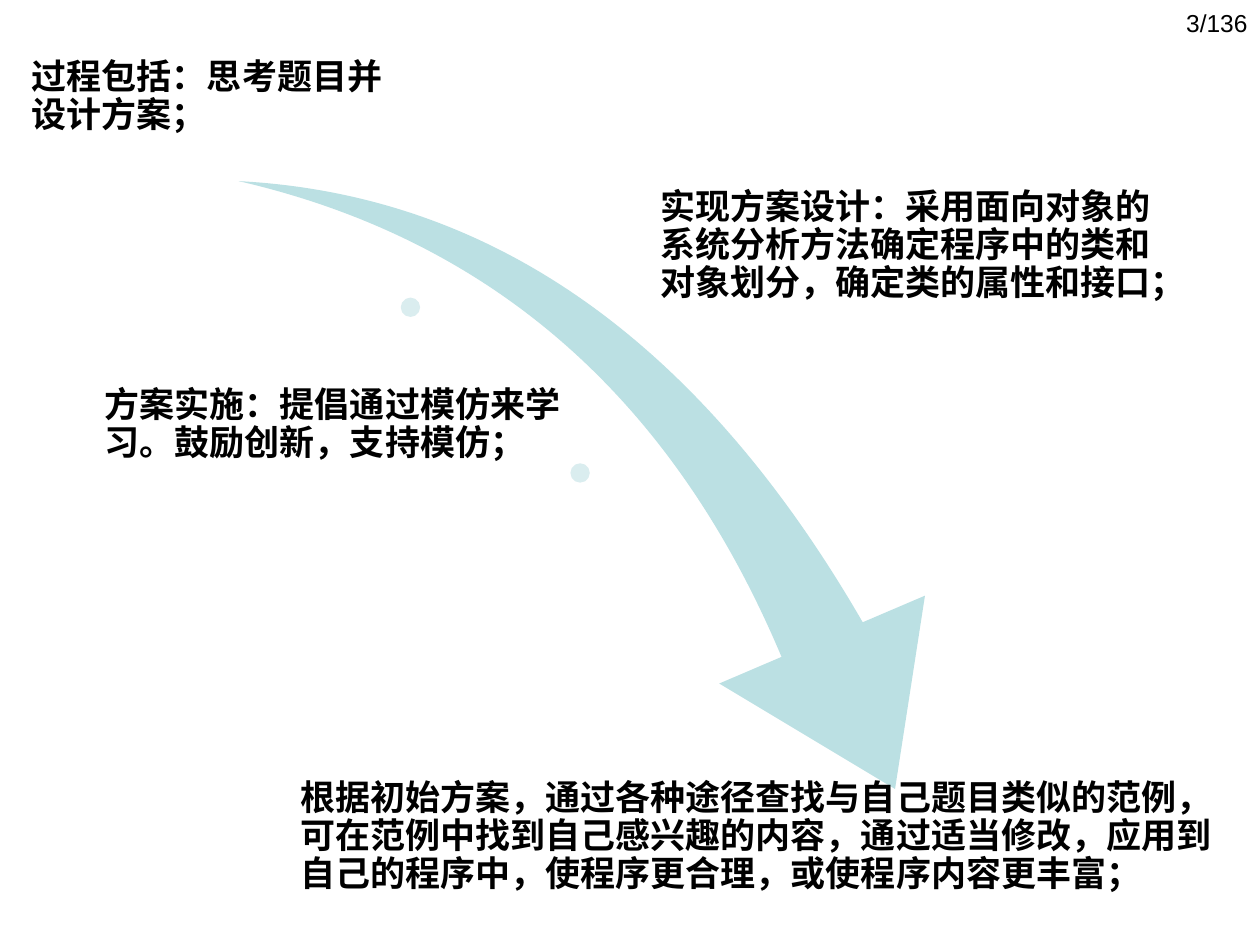
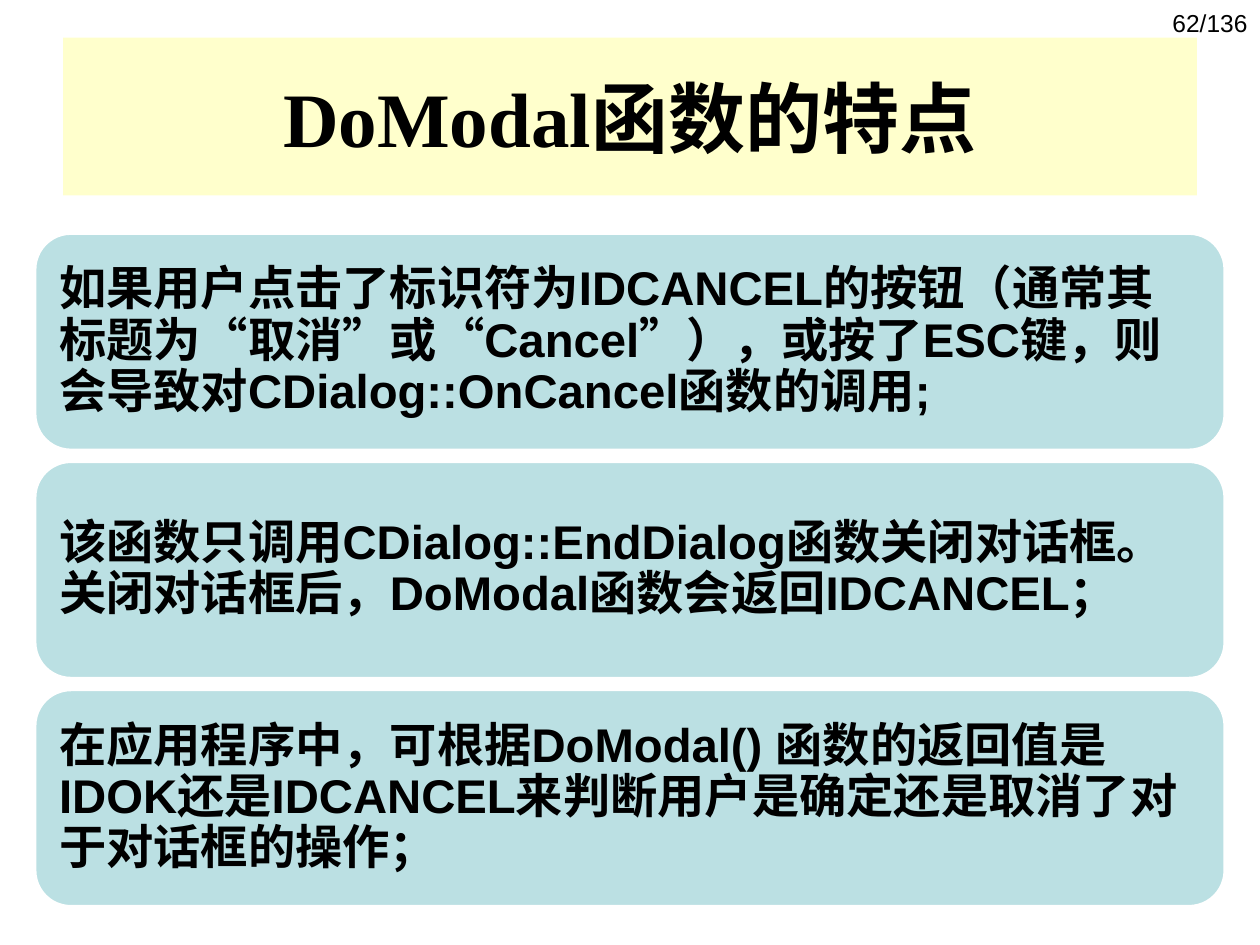
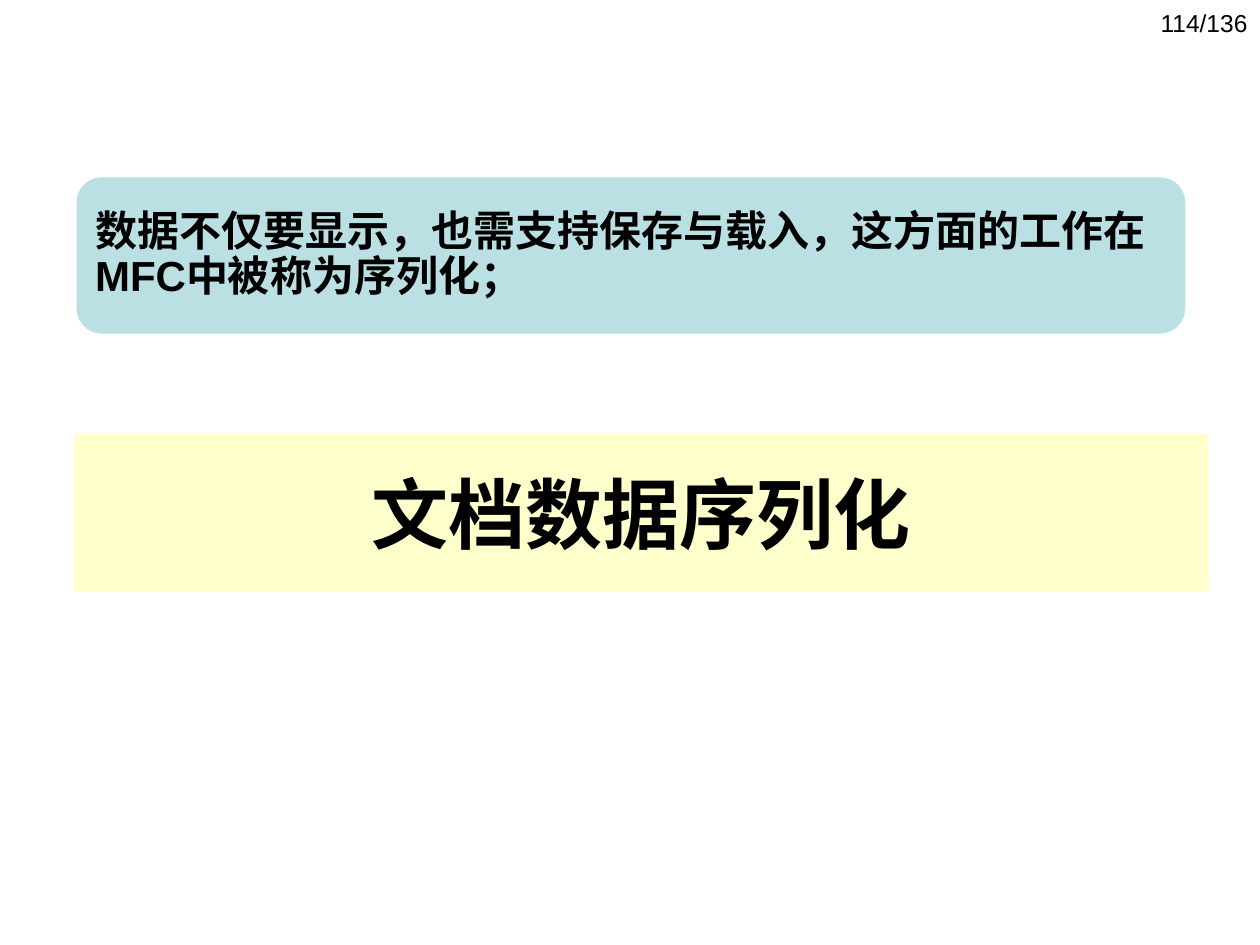
from pptx import Presentation
from pptx.dml.color import RGBColor
from pptx.enum.shapes import MSO_SHAPE
from pptx.enum.text import MSO_ANCHOR, PP_ALIGN
from pptx.util import Cm, Pt

ARROW, DOT, CARD = MSO_SHAPE.SWOOSH_ARROW, MSO_SHAPE.OVAL, MSO_SHAPE.ROUNDED_RECTANGLE
TOP, MIDDLE, BOTTOM = MSO_ANCHOR.TOP, MSO_ANCHOR.MIDDLE, MSO_ANCHOR.BOTTOM
LEFT, CENTER, RIGHT = PP_ALIGN.LEFT, PP_ALIGN.CENTER, PP_ALIGN.RIGHT

COLORS = {"text": "000000", "band": "FFFFCC", "card": "BBE0E3",
          "dot": "DAEDEF", "edge": "FFFFFF"}
SANS, SERIF = "Arial", "Times New Roman"
TITLE_ONLY, BLANK = 5, 6
PAGE_COUNT = 136


def color(key):
    return RGBColor.from_string(COLORS[key])


def box(left, top, width, height):
    return Cm(left), Cm(top), Cm(width), Cm(height)


def write(frame, text, size, align=LEFT, anchor=TOP, bold=True, font=SANS,
          spacing=None, inset=None):
    """Fill a text frame with one formatted paragraph."""
    frame.word_wrap = True
    frame.vertical_anchor = anchor
    if inset is not None:
        frame.margin_left = frame.margin_right = Cm(inset)
        frame.margin_top = frame.margin_bottom = Cm(inset)
    paragraph = frame.paragraphs[0]
    paragraph.alignment = align
    paragraph.line_spacing = spacing
    run = paragraph.add_run()
    run.text = text
    run.font.name, run.font.size, run.font.bold = font, Pt(size), bold
    run.font.color.rgb = color("text")


def add_filled(slide, preset, place, fill):
    shape = slide.shapes.add_shape(preset, *box(*place))
    shape.shadow.inherit = False
    shape.fill.solid()
    shape.fill.fore_color.rgb = color(fill)
    shape.line.fill.background()
    return shape


def add_card(slide, place, text, size, inset):
    card = add_filled(slide, CARD, place, "card")
    card.line.color.rgb = color("edge")
    card.line.width = Pt(2)
    write(card.text_frame, text, size, anchor=MIDDLE, spacing=0.9, inset=inset)


def add_step(slide, place, text, anchor):
    step = slide.shapes.add_textbox(*box(*place))
    write(step.text_frame, text, 20, anchor=anchor, spacing=0.9, inset=0.08)


def set_title(slide, left, top, text, font=SANS):
    title = slide.shapes.title
    title.left, title.top, title.width, title.height = box(left, top, 22.86, 3.18)
    title.fill.solid()
    title.fill.fore_color.rgb = color("band")
    write(title.text_frame, text, 44, CENTER, MIDDLE, font=font)


def add_slide(deck, layout, page):
    """Add a slide with its page number in the top right corner."""
    slide = deck.slides.add_slide(deck.slide_layouts[layout])
    number = slide.shapes.add_textbox(*box(23.1, 0.03, 2.3, 1.32))
    write(number.text_frame, f"{page}/{PAGE_COUNT}", 14, RIGHT, bold=False)
    return slide


def build_process(deck):
    slide = add_slide(deck, BLANK, 3)

    # Curved arrow with milestones
    arrow = add_filled(slide, ARROW, (4.47, 4.11, 15.54, 10.85), "card")
    arrow.rotation = 73.3
    arrow.adjustments[0], arrow.adjustments[1] = 0.163, 0.314
    for left, top in ((8.08, 6.0), (11.5, 9.34)):
        add_filled(slide, DOT, (left, top, 0.39, 0.39), "dot")

    # Steps around the arrow
    steps = (
        ((0.56, 1.12, 7.32, 1.68), "过程包括：思考题目并设计方案；", BOTTOM),
        ((13.23, 3.53, 10.11, 2.87), "实现方案设计：采用面向对象的系统分析方法"
         "确定程序中的类和对象划分，确定类的属性和接口；", MIDDLE),
        ((2.03, 7.14, 9.91, 2.87),
         "方案实施：提倡通过模仿来学习。鼓励创新，支持模仿；", MIDDLE),
        ((5.97, 15.65, 18.87, 2.87), "根据初始方案，通过各种途径查找与自己题目类似的"
         "范例，可在范例中找到自己感兴趣的内容，通过适当修改，应用到自己的程序中，"
         "使程序更合理，或使程序内容更丰富；", TOP),
    )
    for place, text, anchor in steps:
        add_step(slide, place, text, anchor)


def build_domodal(deck):
    slide = add_slide(deck, TITLE_ONLY, 62)
    set_title(slide, 1.27, 0.76, "DoModal函数的特点", SERIF)

    # Evenly stacked cards
    features = (
        "如果用户点击了标识符为IDCANCEL的按钮（通常其标题为“取消”或“Cancel”），"
        "或按了ESC键，则会导致对CDialog::OnCancel函数的调用;",
        "该函数只调用CDialog::EndDialog函数关闭对话框。关闭对话框后，"
        "DoModal函数会返回IDCANCEL；",
        "在应用程序中，可根据DoModal() 函数的返回值是IDOK还是IDCANCEL"
        "来判断用户是确定还是取消了对于对话框的操作；",
    )
    for row, text in enumerate(features):
        add_card(slide, (0.7, 4.7 + 4.6 * row, 24, 4.38), text, 27, 0.28)


def build_serialization(deck):
    slide = add_slide(deck, TITLE_ONLY, 114)
    set_title(slide, 1.5, 8.74, "文档数据序列化")
    add_card(slide, (1.51, 3.54, 22.42, 3.22),
             "数据不仅要显示，也需支持保存与载入，这方面的工作在MFC中被称为序列化；",
             24, 0.25)


def main():
    deck = Presentation()
    deck.slide_width, deck.slide_height = Cm(25.4), Cm(19.05)
    build_process(deck)
    build_domodal(deck)
    build_serialization(deck)
    deck.save("out.pptx")


if __name__ == "__main__":
    main()
